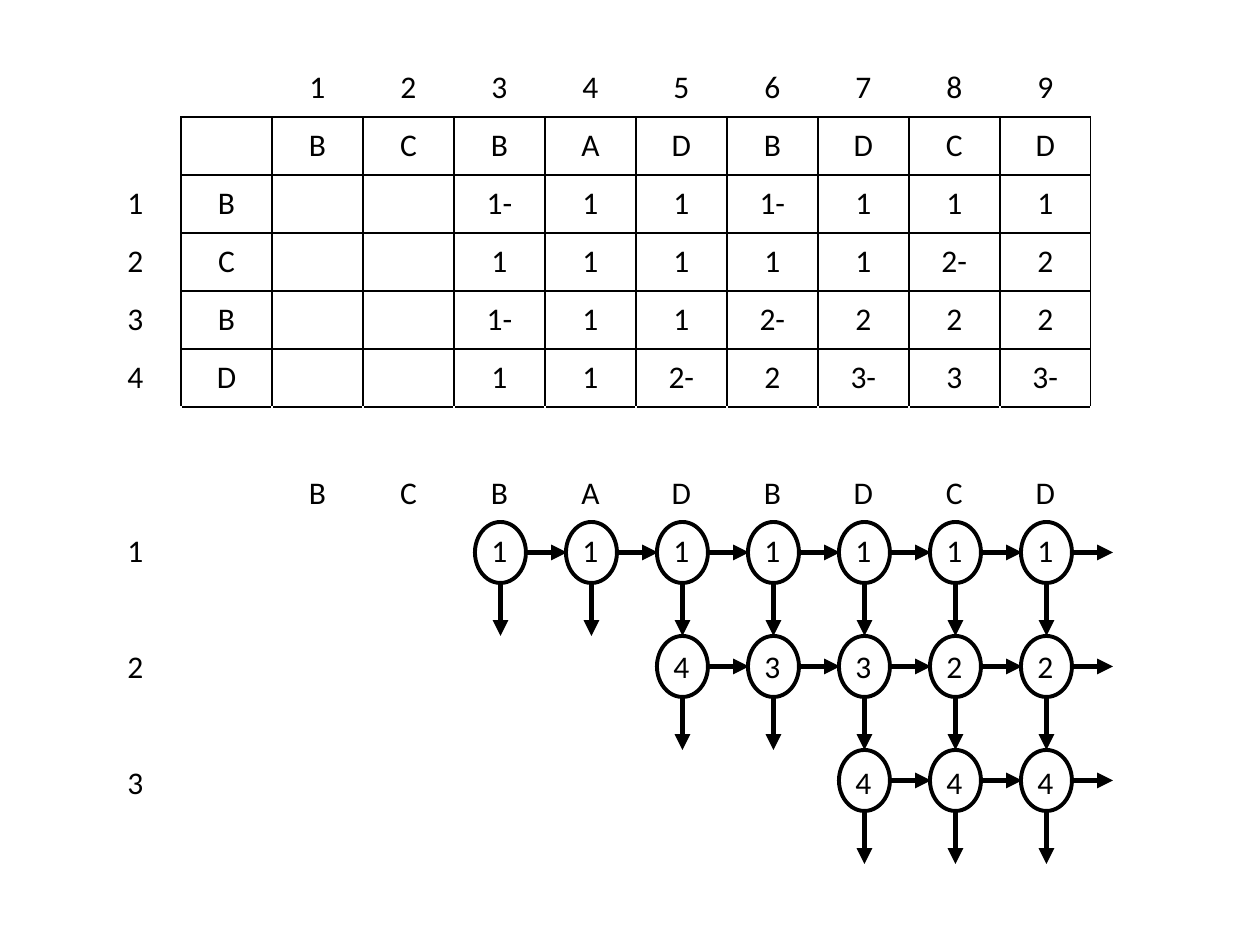
import pptx
import pptx.util
import pptx.dml.color
import pptx.enum.shapes
import pptx.enum.text
import pptx.oxml

PX = 914400 / 126
COLORS = {"ink": "000000", "paper": "FFFFFF"}
FONT = "Calibri"
COLS, ROWS = 11, 13
TABLE_X, TABLE_Y, COL_W, ROW_H = 90, 59, 91, 58
NODE_W, NODE_H = 51, 61
NODE_X, NODE_Y, LEVEL_H = 475, 522, 114
FIRST_NODE_COL = 4
RIGHT_LEN, DOWN_LEN = 41, 53

SEQUENCE = list("BCBADBDCD")
LENGTHS = [
    ("B", "1- 1 1 1- 1 1 1"),
    ("C", "1 1 1 1 1 2- 2"),
    ("B", "1- 1 1 2- 2 2 2"),
    ("D", "1 1 2- 2 3- 3 3-"),
]
LEVELS = ["1111111", "43322", "444"]
SIDES = {"lnL": (0, -1), "lnR": (0, 1), "lnT": (-1, 0), "lnB": (1, 0)}


def px(n):
    return pptx.util.Emu(round(n * PX))


def rgb(name):
    return pptx.dml.color.RGBColor.from_string(COLORS[name])


def table_rows():
    rows = [["", ""] + [str(n) for n in range(1, 10)], ["", ""] + SEQUENCE]
    for i, (letter, values) in enumerate(LENGTHS, 1):
        rows.append([str(i), letter, "", ""] + values.split())
    rows += [[""] * COLS, ["", ""] + SEQUENCE]
    for i, values in enumerate(LEVELS, 1):
        rows.append([str(i)] + [""] * (COLS - 1 - len(values)) + list(values))
        if i < len(LEVELS):
            rows.append([""] * COLS)
    return rows


def in_grid(row, col):
    return 1 <= row <= 5 and 1 <= col < COLS


def set_borders(cell, row, col):
    tcPr = cell._tc.get_or_add_tcPr()
    for tag, (dr, dc) in SIDES.items():
        inked = in_grid(row, col) or in_grid(row + dr, col + dc)
        color = COLORS["ink" if inked else "paper"]
        tcPr.append(pptx.oxml.parse_xml(
            f'<a:{tag} xmlns:a="http://schemas.openxmlformats.org/drawingml/2006/main" w="12700">'
            f'<a:solidFill><a:srgbClr val="{color}"/></a:solidFill></a:{tag}>'))


def fill_cell(cell, text):
    cell.fill.background()
    cell.vertical_anchor = pptx.enum.text.MSO_ANCHOR.MIDDLE
    p = cell.text_frame.paragraphs[0]
    p.alignment = pptx.enum.text.PP_ALIGN.CENTER
    p.font.size = pptx.util.Pt(18)
    if text:
        r = p.add_run()
        r.text = text
        r.font.size = pptx.util.Pt(18)
        r.font.name = FONT
        r.font.color.rgb = rgb("ink")


def add_matrix(s):
    table = s.shapes.add_table(ROWS, COLS, px(TABLE_X), px(TABLE_Y),
                               px(COLS * COL_W), px(ROWS * ROW_H)).table
    table.first_row = False
    table.horz_banding = False
    for column in table.columns:
        column.width = px(COL_W)
    for row in table.rows:
        row.height = px(ROW_H)
    for row, texts in enumerate(table_rows()):
        for col, text in enumerate(texts):
            cell = table.cell(row, col)
            set_borders(cell, row, col)
            fill_cell(cell, text)


def add_arrow(s, x1, y1, x2, y2):
    line = s.shapes.add_connector(pptx.enum.shapes.MSO_CONNECTOR.STRAIGHT,
                                  px(x1), px(y1), px(x2), px(y2))
    line.line.color.rgb = rgb("ink")
    line.line.width = pptx.util.Pt(3)
    ln = line.line._get_or_add_ln()
    ln.append(ln.makeelement(pptx.oxml.ns.qn("a:tailEnd"), {"type": "triangle"}))
    spPr = line._element.spPr
    spPr.append(spPr.makeelement(pptx.oxml.ns.qn("a:effectLst"), {}))


def add_node(s, x, y):
    sp = s.shapes.add_shape(pptx.enum.shapes.MSO_SHAPE.OVAL,
                            px(x), px(y), px(NODE_W), px(NODE_H))
    sp.shadow.inherit = False
    sp.fill.background()
    sp.line.color.rgb = rgb("ink")
    sp.line.width = pptx.util.Pt(2.25)
    right, bottom = x + NODE_W, y + NODE_H
    mid_x, mid_y = x + NODE_W / 2, y + NODE_H / 2
    add_arrow(s, right, mid_y, right + RIGHT_LEN, mid_y)
    add_arrow(s, mid_x, bottom, mid_x, bottom + DOWN_LEN)


def add_network(s):
    for level, values in enumerate(LEVELS):
        for col in range(COLS - len(values), COLS):
            add_node(s, NODE_X + (col - FIRST_NODE_COL) * COL_W,
                     NODE_Y + level * LEVEL_H)


def main():
    prs = pptx.Presentation()
    prs.slide_width, prs.slide_height = px(1260), px(945)
    s = prs.slides.add_slide(prs.slide_layouts[6])
    add_matrix(s)
    add_network(s)
    prs.save("out.pptx")


if __name__ == "__main__":
    main()
